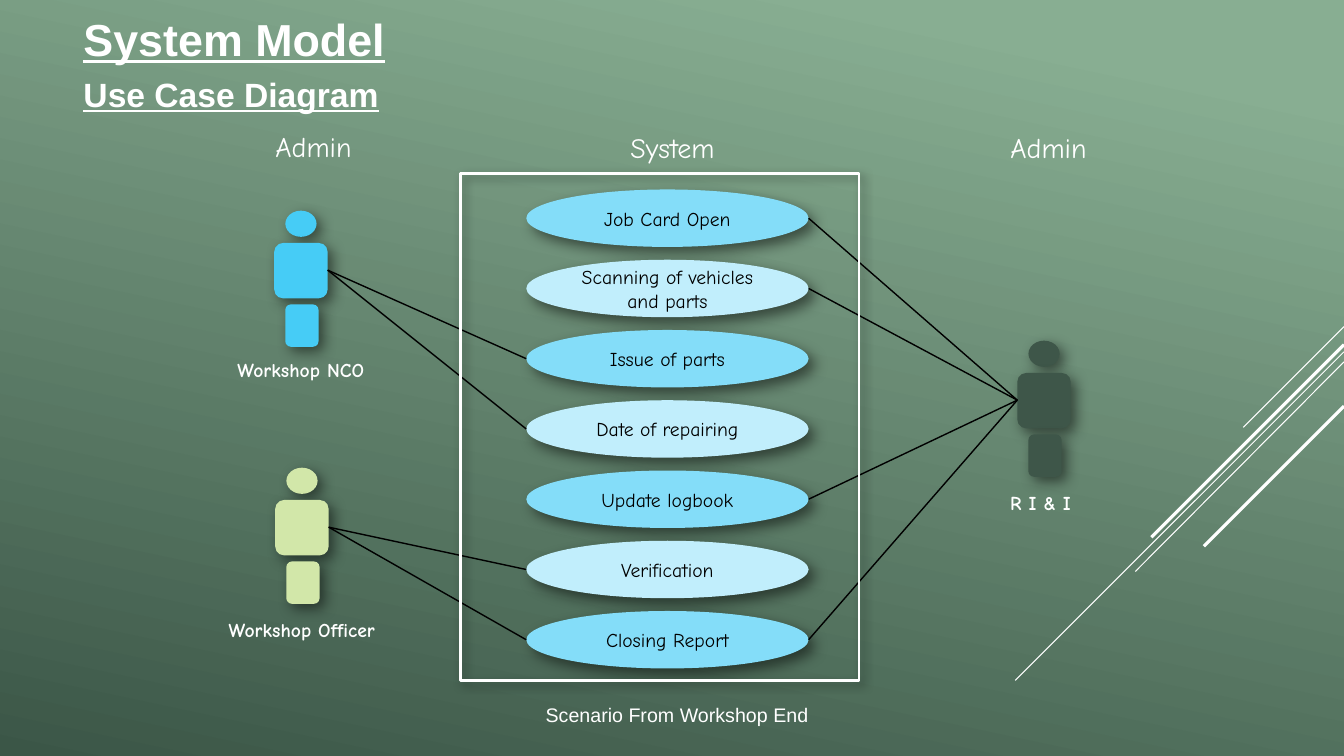
from dataclasses import dataclass
from typing import Any

import pptx
import pptx.dml.color
import pptx.enum.shapes
import pptx.enum.text
import pptx.oxml
import pptx.oxml.ns
import pptx.util
from lxml import etree

Inches = pptx.util.Inches
Pt = pptx.util.Pt
Shape = pptx.enum.shapes.MSO_SHAPE
Anchor = pptx.enum.text.MSO_ANCHOR
Align = pptx.enum.text.PP_ALIGN
AutoSize = pptx.enum.text.MSO_AUTO_SIZE


@dataclass(frozen=True)
class Theme:
    white: str = "FFFFFF"
    black: str = "000000"
    light_green: str = "88AE92"
    dark_green: str = "3B5647"
    case_fills: tuple[str, str] = ("84DDF9", "C1EEFC")
    nco: str = "46CCF6"
    officer: str = "D2E7A9"
    inspector: str = "3E5649"
    sans: str = "Arial"
    hand: str = "Comic Neue"
    title: int = 32
    subtitle: int = 24
    heading: int = 20
    body: int = 14


@dataclass(frozen=True)
class Box:
    x: float
    y: float
    w: float
    h: float

    def inches(self) -> list[int]:
        return [Inches(v) for v in (self.x, self.y, self.w, self.h)]


@dataclass(frozen=True)
class Shadow:
    alpha: int
    blur: int
    dist: int


@dataclass(frozen=True)
class Label:
    text: str
    box: Box
    size: int
    font: str = "Comic Neue"
    bold: bool = False
    underline: bool = False
    align: Any = Align.CENTER
    anchor: Any = Anchor.TOP
    inset: float = 0.1
    spacing: float = 1.0


@dataclass(frozen=True)
class Actor:
    name: str
    x: float
    y: float
    label_y: float
    fill: str
    on_left: bool
    cases: tuple[int, ...]


@dataclass(frozen=True)
class Line:
    x1: float
    y1: float
    x2: float
    y2: float
    color: str
    width: float


T = Theme()
CASES = ("Job Card Open", "Scanning of vehicles and parts", "Issue of parts",
         "Date of repairing", "Update logbook", "Verification", "Closing Report")
CASE = Box(5.22, 1.88, 2.8, 0.57)
CASE_PITCH = 0.697
FRAME = Box(4.57, 1.72, 3.95, 5.03)
BODY = ((Shape.OVAL, Box(0.11, 0, 0.31, 0.26)),
        (Shape.ROUNDED_RECTANGLE, Box(0, 0.32, 0.53, 0.55)),
        (Shape.ROUNDED_RECTANGLE, Box(0.11, 0.93, 0.33, 0.42)))
TORSO_WIDTH, ARM_HEIGHT = 0.53, 0.59
ACTORS = (Actor("Workshop NCO", 2.72, 2.09, 3.5, T.nco, True, (2, 3)),
          Actor("Workshop Officer", 2.73, 4.64, 6.08, T.officer, True, (5, 6)),
          Actor("R I & I ", 10.09, 3.38, 4.82, T.inspector, False, (0, 1, 4, 6)))
STREAKS = tuple(Line(13.33, y1, x2, y2, T.white, width) for y1, x2, y2, width in (
    (3.24, 12.33, 4.24, 0.75), (3.49, 10.07, 6.75, 0.75), (3.59, 11.26, 5.67, 0.75),
    (3.42, 11.42, 5.33, 2.25), (4.03, 11.94, 5.42, 2.25)))
LABELS = (
    Label("Admin", Box(2.54, 1.24, 1.14, 0.44), T.heading),
    Label("System", Box(5.96, 1.25, 1.42, 0.44), T.heading),
    Label("Admin", Box(9.82, 1.25, 1.16, 0.44), T.heading),
    Label("Scenario From Workshop End", Box(4.79, 6.91, 3.59, 0.33), T.body, T.sans,
          inset=0.36, spacing=1.07),
    Label("System Model", Box(0.73, -0.14, 3.24, 0.84), T.title, T.sans, True, True,
          Align.LEFT, Anchor.BOTTOM),
    Label("Use Case Diagram", Box(0.73, 0.68, 3.24, 0.5), T.subtitle, T.sans, True, True,
          Align.LEFT))


def rgb(value: str) -> Any:
    return pptx.dml.color.RGBColor.from_string(value)


def apply(target: Any, values: dict[str, Any]) -> None:
    for name, value in values.items():
        setattr(target, name, value)


def write(tf: Any, label: Label, color: str) -> None:
    apply(tf, {"word_wrap": True, "vertical_anchor": label.anchor,
               "margin_left": Inches(label.inset)})
    p = tf.paragraphs[0]
    apply(p, {"alignment": label.align, "line_spacing": label.spacing})
    r = p.add_run()
    r.text = label.text
    apply(r.font, {"name": label.font, "size": Pt(label.size), "bold": label.bold,
                   "underline": label.underline})
    r.font.color.rgb = rgb(color)


def add_label(s: Any, label: Label) -> None:
    tf = s.shapes.add_textbox(*label.box.inches()).text_frame
    write(tf, label, T.white)
    if label.anchor == Anchor.TOP:
        tf.auto_size = AutoSize.SHAPE_TO_FIT_TEXT


def add_shape(s: Any, kind: Any, box: Box, fill: str | None, shadow: Shadow) -> Any:
    sp = s.shapes.add_shape(kind, *box.inches())
    if fill:
        sp.fill.solid()
        sp.fill.fore_color.rgb = rgb(fill)
    else:
        sp.fill.background()
    sp.line.fill.background()
    sp.shadow.inherit = False
    qn = pptx.oxml.ns.qn
    outer = etree.SubElement(sp._element.spPr.find(qn("a:effectLst")), qn("a:outerShdw"),
                             blurRad=str(Pt(shadow.blur)), dist=str(Pt(shadow.dist)),
                             dir="2700000", algn="tl", rotWithShape="0")
    color = etree.SubElement(outer, qn("a:srgbClr"), val=T.black)
    etree.SubElement(color, qn("a:alpha"), val=str(shadow.alpha * 1000))
    return sp


def add_line(s: Any, line: Line) -> None:
    ends = [Inches(v) for v in (line.x1, line.y1, line.x2, line.y2)]
    c = s.shapes.add_connector(pptx.enum.shapes.MSO_CONNECTOR.STRAIGHT, *ends)
    c.line.color.rgb = rgb(line.color)
    c.line.width = Pt(line.width)
    etree.SubElement(c._element.spPr, pptx.oxml.ns.qn("a:effectLst"))


def add_case(s: Any, index: int, text: str) -> None:
    box = Box(CASE.x, CASE.y + index * CASE_PITCH, CASE.w, CASE.h)
    sp = add_shape(s, Shape.OVAL, box, T.case_fills[index % 2], Shadow(50, 10, 6))
    write(sp.text_frame, Label(text, box, T.body, anchor=Anchor.MIDDLE), T.black)


def add_actor(s: Any, actor: Actor) -> None:
    for kind, part in BODY:
        box = Box(actor.x + part.x, actor.y + part.y, part.w, part.h)
        add_shape(s, kind, box, actor.fill, Shadow(50, 10, 5))
    add_label(s, Label(actor.name, Box(actor.x - 0.72, actor.label_y, 1.97, 0.34),
                       T.body, bold=True))
    arm_x = actor.x + TORSO_WIDTH * actor.on_left
    case_x = CASE.x if actor.on_left else CASE.x + CASE.w
    for index in actor.cases:
        case_y = CASE.y + index * CASE_PITCH + CASE.h / 2
        add_line(s, Line(arm_x, actor.y + ARM_HEIGHT, case_x, case_y, T.black, 1))


def paint_background(s: Any) -> None:
    fill = s.background.fill
    fill.gradient()
    fill.gradient_angle = 258
    stops = ((0.1, T.light_green), (1.0, T.dark_green))
    for stop, (position, color) in zip(fill.gradient_stops, stops):
        stop.position = position
        stop.color.rgb = rgb(color)


def main() -> None:
    prs = pptx.Presentation()
    apply(prs, {"slide_width": Inches(13.33), "slide_height": Inches(7.5)})
    s = prs.slides.add_slide(prs.slide_layouts[6])
    paint_background(s)
    for streak in STREAKS:
        add_line(s, streak)
    for index, text in enumerate(CASES):
        add_case(s, index, text)
    for actor in ACTORS:
        add_actor(s, actor)
    frame = add_shape(s, Shape.RECTANGLE, FRAME, None, Shadow(40, 7, 3))
    frame.line.color.rgb = rgb(T.white)
    frame.line.width = Pt(2)
    for label in LABELS:
        add_label(s, label)
    prs.save("out.pptx")


if __name__ == "__main__":
    main()
